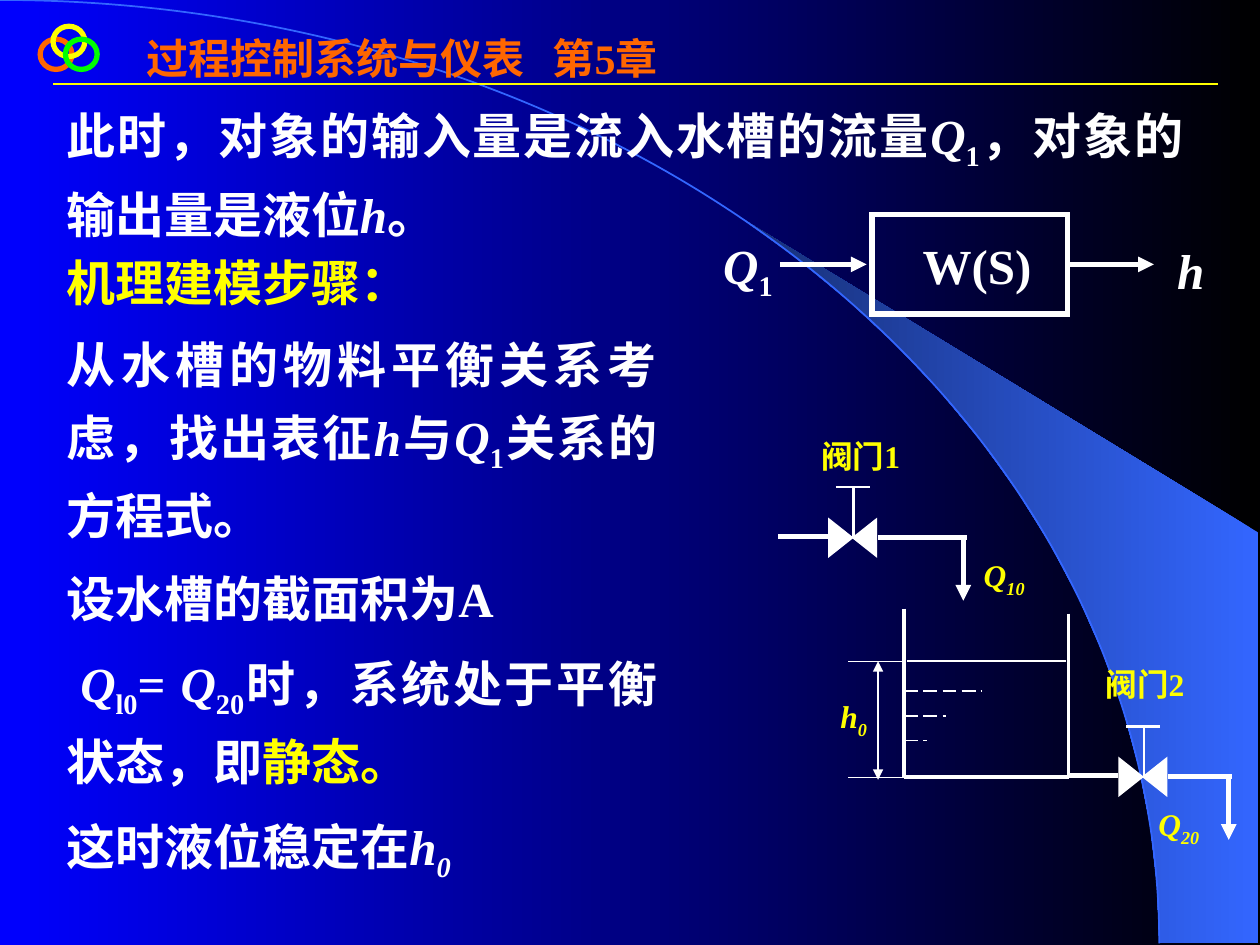
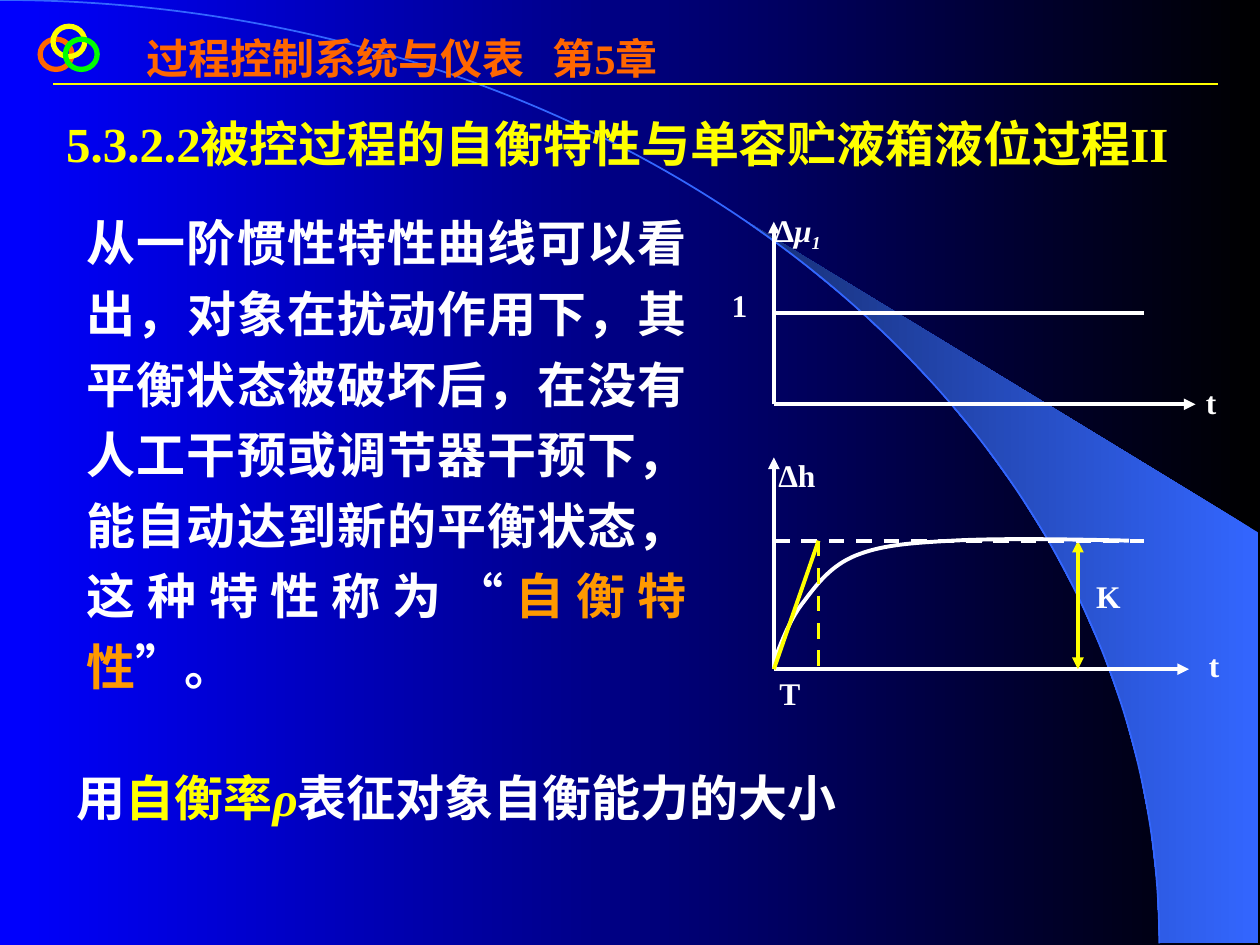
from dataclasses import dataclass
from math import asin, cos, pi, sin

from lxml import etree
from pptx import Presentation
from pptx.dml.color import RGBColor
from pptx.enum.dml import MSO_LINE
from pptx.enum.shapes import MSO_CONNECTOR, MSO_SHAPE
from pptx.enum.text import MSO_ANCHOR, MSO_AUTO_SIZE, PP_ALIGN
from pptx.oxml.ns import qn
from pptx.util import Cm, Pt

STRAIGHT = MSO_CONNECTOR.STRAIGHT
ARC, OVAL, RECTANGLE = MSO_SHAPE.ARC, MSO_SHAPE.OVAL, MSO_SHAPE.RECTANGLE
COLLATE = MSO_SHAPE.FLOWCHART_COLLATE
DASH, LONG_DASH = MSO_LINE.DASH, MSO_LINE.LONG_DASH
LEFT, JUSTIFY = PP_ALIGN.LEFT, PP_ALIGN.JUSTIFY
TOP, FIXED = MSO_ANCHOR.TOP, MSO_AUTO_SIZE.NONE
TITLE_ONLY, BLANK = 5, 6
ARC_WIDTH, ARC_HEIGHT = 23.37, 19.02


@dataclass(frozen=True)
class Theme:
    """Colours, fonts and type sizes of the deck."""
    white: str = "FFFFFF"
    yellow: str = "FFFF00"
    orange: str = "FF6600"
    amber: str = "FF9900"
    green: str = "00FF00"
    black: str = "000000"
    blue: str = "0000FF"
    sky: str = "3366FF"
    navy: str = "172F75"
    latin: str = "Times New Roman"
    asian: str = "Noto Sans CJK SC"
    body: int = 28
    header: int = 24
    label: int = 18


THEME = Theme()


@dataclass(frozen=True)
class Span:
    """A stretch of text with one look."""
    text: str
    color: str = THEME.white
    italic: bool = False
    sub: bool = False
    font: str = THEME.latin


def symbol(name, index="", color=THEME.white, italic_index=False):
    """Return the spans of an italic symbol and its subscript."""
    spans = [Span(name, color, italic=True)]
    if index:
        spans.append(Span(index, color, italic_index, sub=True))
    return spans


def rgb(code):
    """Return the colour for a hex code."""
    return RGBColor.from_string(code)


def fill_gradient(fill, first, last):
    """Run a gradient from the right edge to the left."""
    fill.gradient()
    fill.gradient_angle = 180
    for stop, code, position in zip(fill.gradient_stops, (first, last), (0, 1)):
        stop.color.rgb = rgb(code)
        stop.position = position


def write_span(para, span, size):
    """Add one run to a paragraph."""
    run = para.add_run()
    run.text = span.text
    run.font.name = span.font
    run.font.size = Pt(size)
    run.font.bold = True
    run.font.italic = span.italic
    run.font.color.rgb = rgb(span.color)
    properties = run._r.get_or_add_rPr()
    if span.sub:
        properties.set("baseline", "-25000")
    asian = etree.Element(qn("a:ea"), typeface=THEME.asian)
    properties.find(qn("a:latin")).addnext(asian)


def write_paragraphs(frame, paragraphs, size, spacing=1.0, align=LEFT, wrap=True):
    """Fill a text frame from lists of spans."""
    frame.word_wrap = wrap
    frame.auto_size = FIXED
    frame.vertical_anchor = TOP
    for number, spans in enumerate(paragraphs):
        para = frame.add_paragraph() if number else frame.paragraphs[0]
        para.alignment = align
        para.line_spacing = spacing
        para._p.get_or_add_pPr().set("hangingPunct", "0")
        if number:
            para.space_before = Pt(7)
        for span in spans:
            write_span(para, span, size)


def add_text(page, place, paragraphs, size=THEME.body, **layout):
    """Add a text box at left, top, width, height in centimetres."""
    box = page.shapes.add_textbox(*map(Cm, place))
    write_paragraphs(box.text_frame, paragraphs, size, **layout)
    return box


def add_label(page, place, spans, **layout):
    """Add a small one-line label."""
    return add_text(page, place, [spans], THEME.label, **layout)


def style_outline(shape, color, width):
    """Leave a shape unfilled, with a plain mitred outline."""
    shape.shadow.inherit = False
    shape.fill.background()
    shape.line.color.rgb = rgb(color)
    shape.line.width = Pt(width)
    etree.SubElement(shape.line._ln, qn("a:miter"), lim="800000")


def add_outline(page, kind, place, color, width=3):
    """Add an unfilled preset shape."""
    shape = page.shapes.add_shape(kind, *map(Cm, place))
    style_outline(shape, color, width)
    return shape


def add_line(page, start, end, width=3, color=THEME.white, dash=None, arrows=()):
    """Add a straight line, with arrowheads at the named ends."""
    line = page.shapes.add_connector(STRAIGHT, *map(Cm, (*start, *end)))
    line.line.color.rgb = rgb(color)
    line.line.width = Pt(width)
    if dash:
        line.line.dash_style = dash
    for arrow in arrows:
        etree.SubElement(line.line._ln, qn(f"a:{arrow}"), type="triangle")
    etree.SubElement(line._element.spPr, qn("a:effectLst"))
    return line


def add_path(page, points, close=False):
    """Add a freeform through points in centimetres."""
    first, *rest = [(Cm(x), Cm(y)) for x, y in points]
    builder = page.shapes.build_freeform(*first)
    builder.add_line_segments(rest, close=close)
    shape = builder.convert_to_shape()
    shape.shadow.inherit = False
    return shape


def add_curve(page, knots):
    """Add joined cubic curves, three knots to each after the first."""
    shape = add_path(page, knots)
    segments = shape.element.xpath(".//a:lnTo")
    for first in range(0, len(segments), 3):
        curve = etree.Element(qn("a:cubicBezTo"))
        segments[first].addprevious(curve)
        for segment in segments[first:first + 3]:
            curve.append(segment[0])
            segment.getparent().remove(segment)
    return shape


def horizon_points(start, steps=14):
    """Return points on the horizon arc from an angle to its foot."""
    angles = [start + (pi / 2 - start) * step / steps for step in range(steps + 1)]
    return [(ARC_WIDTH * sin(angle), ARC_HEIGHT * (1 - cos(angle))) for angle in angles]


def build_master(deck, page):
    """Draw the shared backdrop and header, and keep them on the master."""
    master = deck.slide_master
    fill_gradient(master.background.fill, THEME.black, THEME.blue)

    corners = [(25.37, ARC_HEIGHT), (25.37, 10.74)]
    wedge = add_path(page, horizon_points(asin(0.64)) + corners, close=True)
    fill_gradient(wedge.fill, THEME.sky, THEME.navy)
    wedge.line.fill.background()
    add_outline(page, ARC, (-ARC_WIDTH, 0, 2 * ARC_WIDTH, 2 * ARC_HEIGHT), THEME.sky, 1)

    add_line(page, (1.07, 1.69), (24.56, 1.69), 1.5, THEME.yellow)
    header = add_text(page, (2.7, 0.53, 11.4, 2.29),
                      [[Span("过程控制系统与仪表\t第5章", THEME.orange)]], THEME.header)
    properties = header.text_frame.paragraphs[0]._p.get_or_add_pPr()
    tabs = etree.SubElement(properties, qn("a:tabLst"))
    etree.SubElement(tabs, qn("a:tab"), pos=str(Cm(8.19)), algn="l")
    for left, top, color in ((0.81, 0.79, THEME.orange), (1.07, 0.53, THEME.yellow),
                             (1.32, 0.79, THEME.green)):
        add_outline(page, OVAL, (left, top, 0.64, 0.61), color)

    for number, shape in enumerate(list(page.shapes), start=20):
        shape.element.xpath(".//p:cNvPr")[0].set("id", str(number))
        master.shapes.element.append(shape.element)


def add_valve(page, x, y, outlet):
    """Add a valve with its handle, inlet pipe and falling outlet."""
    body = add_outline(page, COLLATE, (x - 0.38, y - 0.48, 0.76, 0.96), THEME.white, 0.75)
    body.rotation = 270
    body.fill.solid()
    body.fill.fore_color.rgb = rgb(THEME.white)
    add_line(page, (x + 0.02, y), (x + 0.02, y - 1), 1.5)
    add_line(page, (x - 0.34, y - 1.02), (x + 0.34, y - 1.02), 1.5)
    add_line(page, (x - 1.5, y - 0.02), (x - 0.5, y - 0.02))
    end = x + 0.5 + outlet
    add_line(page, (x + 0.5, y), (end, y))
    add_line(page, (end - 0.07, y - 0.03), (end - 0.07, y + 1.27), arrows=["tailEnd"])


def add_transfer_block(page):
    """Draw the block diagram from inflow to level."""
    add_outline(page, RECTANGLE, (17.58, 4.32, 3.94, 2.01), THEME.white)
    for start in (15.72, 21.51):
        add_line(page, (start, 5.33), (start + 1.75, 5.33), arrows=["tailEnd"])
    for place, spans in (((18.35, 4.62, 2.69, 1.45), [Span("W(S)")]),
                         ((14.33, 4.62, 1.5, 1.6), symbol("Q", "1")),
                         ((23.48, 4.72, 1.04, 1.45), symbol("h"))):
        add_text(page, place, [spans], wrap=False)


def add_tank(page):
    """Draw the water tank with its two valves and labels."""
    left, right, surface, floor = 18.23, 21.54, 13.33, 15.67
    add_valve(page, 17.19, 10.84, outlet=1.8)
    add_valve(page, 23.04, 15.66, outlet=1.3)
    add_line(page, (left, 12.27), (left, floor), 2.25)
    add_line(page, (right, 12.37), (right, floor), 2.25)
    add_line(page, (left, floor), (right, floor), 2.25)
    add_line(page, (left + 0.05, surface), (right - 0.05, surface), 1)
    for row, length in enumerate((1.57, 0.84, 0.46)):
        height = 13.93 + 0.5 * row
        add_line(page, (left, height), (left + length, height), 1, dash=LONG_DASH)
    for height in (surface, floor):
        add_line(page, (left, height), (17.09, height), 0.5)
    add_line(page, (17.7, surface), (17.7, floor + 0.05), 0.75, arrows=["headEnd", "tailEnd"])

    add_label(page, (16.69, 13.92, 1.6, 0.79), symbol("h", "0", THEME.yellow, True))
    for place, spans in (((16.31, 8.53, 3, 0.81), [Span("阀门1", THEME.yellow)]),
                         ((22.04, 13.13, 2.67, 1.04), [Span("阀门2", THEME.yellow)]),
                         ((19.58, 10.91, 2.11, 1.12), symbol("Q", "10", THEME.yellow, True)),
                         ((23.1, 15.93, 1.6, 1.12), symbol("Q", "20", THEME.yellow, True))):
        add_label(page, place, spans, spacing=1.2)


def build_modelling(page):
    """Fill the slide on modelling the tank from its balance."""
    add_text(page, (1.09, 1.73, 23.01, 3.3), [
        [Span("此时，对象的输入量是流入水槽的流量"), *symbol("Q", "1"),
         Span("，对象的输出量是液位"), *symbol("h"), Span("。")],
    ], spacing=1.2, align=JUSTIFY)
    add_transfer_block(page)
    steps = add_text(page, (1.1, 4.72, 12.4, 13.21), [
        [Span("机理建模步骤：", THEME.yellow)],
        [Span("从水槽的物料平衡关系考虑，找出表征"), *symbol("h"), Span("与"),
         *symbol("Q", "1"), Span("关系的方程式。")],
        [Span("设水槽的截面积为A")],
        [*symbol("Q", "l0"), Span("= "), *symbol("Q", "20"),
         Span("时，系统处于平衡状态，即"), Span("静态。", THEME.yellow)],
        [Span("这时液位稳定在"), *symbol("h", "0", italic_index=True)],
    ], spacing=1.2, align=JUSTIFY)
    steps.text_frame.paragraphs[3]._p.get_or_add_pPr().set("indent", str(Cm(0.27)))
    add_tank(page)


def add_axes(page, origin, right, top):
    """Draw two arrowed axes from an origin."""
    for end in ((right, origin[1]), (origin[0], top)):
        add_line(page, origin, end, 2.25, arrows=["tailEnd"])


def add_response_plots(page):
    """Draw the step input and the first-order response."""
    left, end, input_base, base, steady, time_constant = 15.6, 23.06, 8.15, 13.49, 10.9, 16.5
    add_axes(page, (left, input_base), 24.1, 4.47)
    add_line(page, (left, 6.31), (end, 6.31), 2.25)
    add_axes(page, (left, base), 23.97, 9.22)
    curve = add_curve(page, [
        (left, 13.34), (15.77, 12.9), (15.93, 12.47), (16.21, 12.12),
        (16.48, 11.76), (16.76, 11.4), (17.25, 11.2),
        (17.75, 11), (18.26, 10.95), (19.2, 10.9),
        (20.12, 10.85), (21.44, 10.87), (22.76, 10.9)])
    style_outline(curve, THEME.white, 2.25)
    add_line(page, (21.73, steady), (21.73, base), 2.25, THEME.yellow,
             arrows=["headEnd", "tailEnd"])
    add_line(page, (left, steady), (end, steady), 2.25, dash=DASH)
    add_line(page, (left, base), (time_constant, steady), 2.25, THEME.yellow)
    add_line(page, (time_constant, steady), (time_constant, base), 2.25, THEME.yellow, DASH)

    add_label(page, (15.36, 4.12, 2.97, 1.12), [Span("Δ"), *symbol("μ", "1", italic_index=True)])
    for place, text in (((15.44, 9.07, 2.41, 1.02), "Δh"), ((21.85, 11.51, 1.68, 1.02), "K"),
                        ((15.46, 13.46, 1.65, 1.02), "T")):
        add_label(page, place, [Span(text)])
    for place, text in (((14.5, 5.64, 0.81, 1.02), "1"), ((24.06, 7.59, 0.71, 1.02), "t"),
                        ((24.12, 12.89, 0.71, 1.02), "t")):
        add_label(page, place, [Span(text)], wrap=False)


def build_self_balance(page):
    """Fill the slide on self-balancing behaviour."""
    title = page.shapes.title
    title.left, title.top, title.width, title.height = map(Cm, (1.08, 1.93, 23.8, 1.68))
    heading = Span("5.3.2.2被控过程的自衡特性与单容贮液箱液位过程II", THEME.yellow)
    write_paragraphs(title.text_frame, [[heading]], THEME.body, spacing=1.2)
    add_text(page, (1.5, 3.93, 12.6, 10.21), [
        [Span("从一阶惯性特性曲线可以看出，"),
         Span("对象在扰动作用下，其平衡状态被破坏后，在没有人工干预或调节器干预下，"
              "能自动达到新的平衡状态，这种特性称为“", font=THEME.asian),
         Span("自衡特性", THEME.amber, font=THEME.asian), Span("”。", font=THEME.asian)],
    ], spacing=1.2, align=JUSTIFY)
    add_text(page, (1.3, 15.12, 20.4, 1.68), [
        [Span("用"), Span("自衡率", THEME.yellow), *symbol("ρ", color=THEME.yellow),
         Span("表征对象自衡能力的大小")],
    ], spacing=1.2, align=JUSTIFY)
    add_response_plots(page)


def main():
    """Build and save the deck."""
    deck = Presentation()
    deck.slide_width, deck.slide_height = Cm(25.4), Cm(19.05)
    modelling = deck.slides.add_slide(deck.slide_layouts[BLANK])
    build_master(deck, modelling)
    build_modelling(modelling)
    build_self_balance(deck.slides.add_slide(deck.slide_layouts[TITLE_ONLY]))
    deck.save("out.pptx")


if __name__ == "__main__":
    main()
